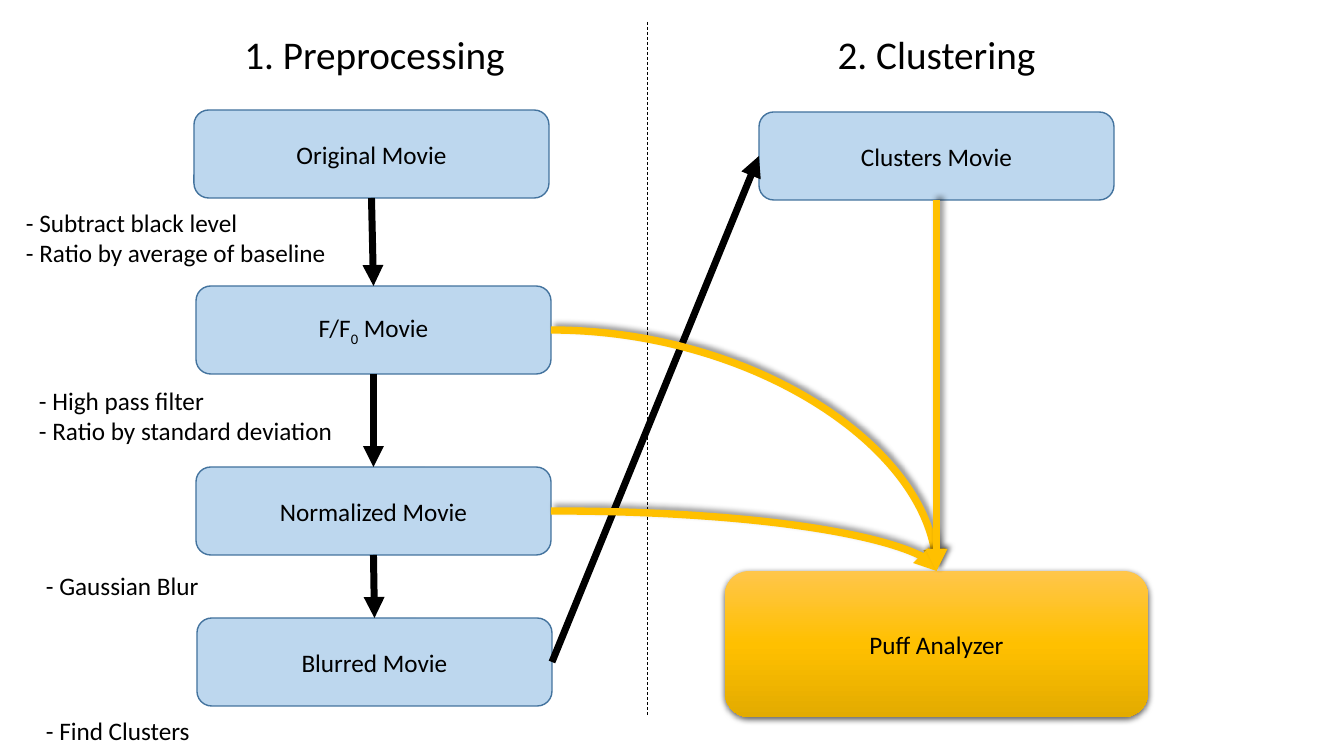
from copy import deepcopy

from lxml import etree
from pptx import Presentation
from pptx import util as u
from pptx.dml.color import RGBColor
from pptx.enum import dml, shapes, text
from pptx.oxml.ns import qn

SCALE = 914400 / 100.8
TOP, LEFT, BOTTOM, RIGHT = range(4)
BLACK, GOLD, BLUE, NAVY = "000000", "FFC000", "BDD7EE", "43739E"
GOLD_STOPS = [(0, "FFC64B"), (0.5, GOLD), (1, "E3AB00")]
# Shadows: opacity %, blur points, distance points, angle
BOX_SHADOW = (63, 4.5, 1.5, 90)
ARROW_SHADOW = (40, 4, 3, 315)


def px(*lengths):
    """Turn pixels into a list of EMU lengths."""
    return [u.Emu(round(length * SCALE)) for length in lengths]


def colour(value):
    """Make a colour from a hex string."""
    return RGBColor.from_string(value)


def set_effects(shape, shadow=None):
    """Replace the theme shadow by the given one, or by none."""
    effects = etree.SubElement(shape.element.spPr, qn("a:effectLst"))
    if shadow:
        opacity, blur, distance, angle = shadow
        outer = etree.SubElement(
            effects, qn("a:outerShdw"), blurRad=str(u.Pt(blur)),
            dist=str(u.Pt(distance)), dir=str(angle * 60000),
            algn="ctr", rotWithShape="0")
        black = etree.SubElement(outer, qn("a:srgbClr"), val=BLACK)
        etree.SubElement(black, qn("a:alpha"), val=str(opacity * 1000))


def format_text(frame, size, align):
    """Give every run the same font and every paragraph one alignment."""
    for para in frame.paragraphs:
        para.alignment = align
        para.space_before = u.Pt(0)
        for span in para.runs:
            span.font.name = "Calibri"
            span.font.size = u.Pt(size)
            span.font.bold = False
            span.font.color.rgb = colour(BLACK)


def set_heading(holder, words, area):
    """Place a column heading in a template placeholder."""
    holder.left, holder.top, holder.width, holder.height = px(*area)
    frame = holder.text_frame
    frame.text = words
    frame.auto_size = text.MSO_AUTO_SIZE.NONE
    frame.vertical_anchor = text.MSO_ANCHOR.TOP
    format_text(frame, 28, text.PP_ALIGN.CENTER)


def add_note(page, words, area):
    """Add the notes that name the steps after a movie."""
    frame = page.shapes.add_textbox(*px(*area)).text_frame
    frame.word_wrap = True
    frame.text = words
    format_text(frame, 18, text.PP_ALIGN.LEFT)


def add_box(page, parts, area):
    """Add a rounded box; the second of several text parts is a subscript."""
    box = page.shapes.add_shape(shapes.MSO_SHAPE.ROUNDED_RECTANGLE, *px(*area))
    frame = box.text_frame
    frame.vertical_anchor = text.MSO_ANCHOR.MIDDLE
    para = frame.paragraphs[0]
    for part in parts:
        para.add_run().text = part
    format_text(frame, 18, text.PP_ALIGN.CENTER)
    if len(parts) > 1:
        para.runs[1].font._element.set("baseline", "-25000")
    return box


def add_movie(page, parts, left, top):
    """Add a blue box for one movie."""
    box = add_box(page, parts, (left, top, 355, 88))
    box.fill.solid()
    box.fill.fore_color.rgb = colour(BLUE)
    box.line.color.rgb = colour(NAVY)
    box.line.width = u.Pt(1)
    set_effects(box)
    return box


def add_analyzer(page):
    """Add the gold gradient box of the analyzer."""
    box = add_box(page, ["Puff Analyzer"], (725, 571, 423, 146))
    box.fill.gradient()
    box.fill.gradient_angle = 270
    stop_list = next(box.element.spPr.iter(qn("a:gsLst")))
    stop_list.insert(1, deepcopy(stop_list[0]))
    for stop, (position, value) in zip(box.fill.gradient_stops, GOLD_STOPS):
        stop.position = position
        stop.color.rgb = colour(value)
    box.line.fill.background()
    set_effects(box, BOX_SHADOW)
    return box


def add_line(page, ends, value, width, shadow=None):
    """Add a straight line between two points."""
    line = page.shapes.add_connector(shapes.MSO_CONNECTOR.STRAIGHT, *px(*ends))
    line.line.color.rgb = colour(value)
    line.line.width = u.Pt(width)
    set_effects(line, shadow)
    return line


def add_arrow(page, source, start, target, end, gold=False, curved=False):
    """Join the connection sites of two boxes with an arrow."""
    style = (GOLD, 5.25, ARROW_SHADOW) if gold else (BLACK, 5)
    arrow = add_line(page, (0, 0, 0, 0), *style)
    arrow.begin_connect(source, start)
    arrow.end_connect(target, end)
    properties = arrow.element.spPr
    etree.SubElement(properties.find(qn("a:ln")), qn("a:tailEnd"),
                     type="triangle")
    if curved:
        properties.find(qn("a:prstGeom")).set("prst", "curvedConnector2")


def main():
    """Build the slide of the movie processing steps."""
    deck = Presentation()
    deck.slide_width, deck.slide_height = px(1344, 756)
    page = deck.slides.add_slide(deck.slide_layouts.get_by_name("Comparison"))
    headings = {1: ("1. Preprocessing", (229, 25, 291, 58)),
                3: ("2. Clustering", (806, 25, 261, 58))}
    for holder in list(page.placeholders):
        index = holder.placeholder_format.idx
        if index in headings:
            set_heading(holder, *headings[index])
        else:
            holder.element.getparent().remove(holder.element)

    divider = add_line(page, (647, 22, 647, 716), BLACK, 0.5)
    divider.line.dash_style = dml.MSO_LINE.DASH

    movies = [add_movie(page, parts, left, top) for parts, left, top in [
        (["Original Movie"], 194, 110),
        (["F/F", "0", " Movie"], 196, 286),
        (["Normalized Movie"], 196, 467),
        (["Blurred Movie"], 197, 618)]]
    clusters = add_movie(page, ["Clusters Movie"], 759, 112)
    for upper, lower in zip(movies, movies[1:]):
        add_arrow(page, upper, BOTTOM, lower, TOP)
    add_arrow(page, movies[3], RIGHT, clusters, LEFT)

    analyzer = add_analyzer(page)
    for movie in movies[1:3]:
        add_arrow(page, movie, RIGHT, analyzer, TOP, gold=True, curved=True)
    add_arrow(page, clusters, BOTTOM, analyzer, TOP, gold=True)

    for words, area in [
            ("- High pass filter\n- Ratio by standard deviation",
             (29, 380, 353, 72)),
            ("- Subtract black level\n- Ratio by average of baseline",
             (16, 202, 344, 102)),
            ("- Gaussian Blur", (36, 565, 179, 40)),
            ("- Find Clusters", (36, 710, 190, 40))]:
        add_note(page, words, area)
    deck.save("out.pptx")


main()
